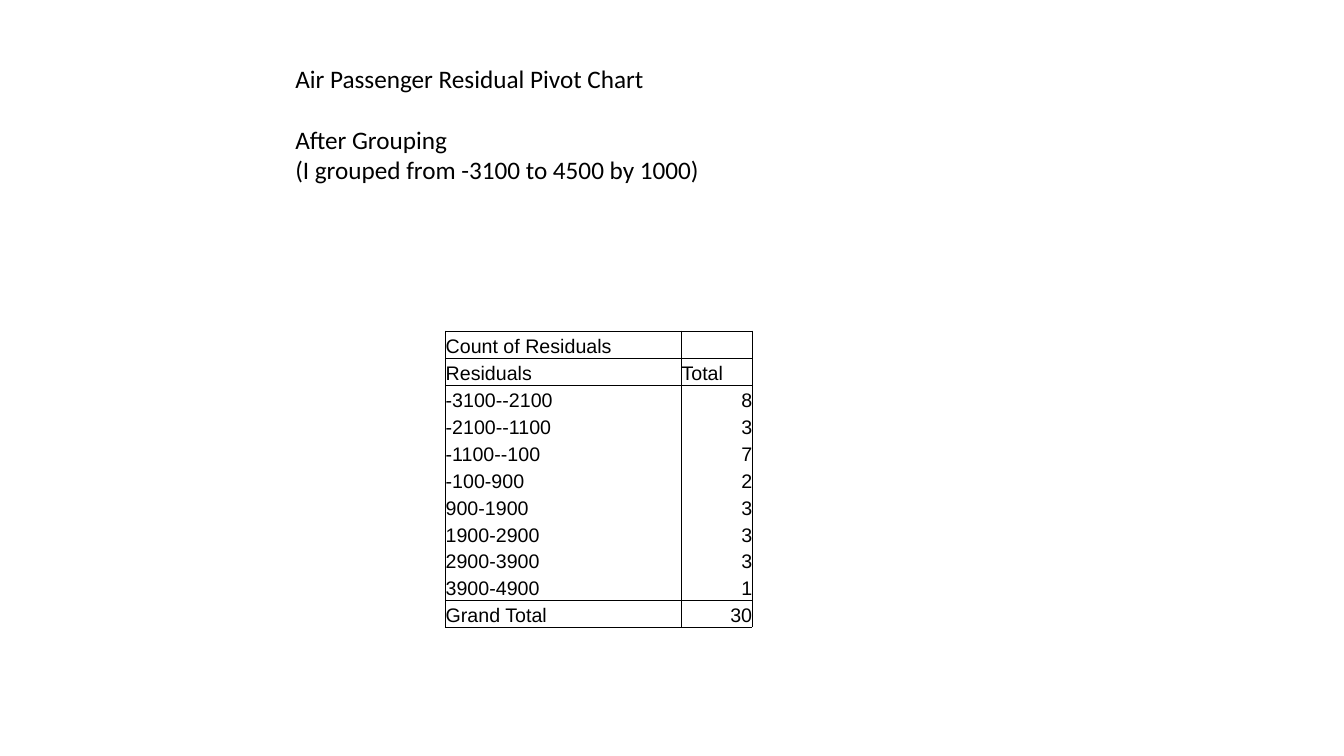
from lxml import etree
from pptx import Presentation
from pptx.dml.color import RGBColor
from pptx.enum.text import MSO_ANCHOR, PP_ALIGN
from pptx.oxml.ns import qn
from pptx.util import Inches, Pt

BLACK = RGBColor(0, 0, 0)
WHITE = RGBColor(255, 255, 255)
LEFT = PP_ALIGN.LEFT
RIGHT = PP_ALIGN.RIGHT
BOTTOM = MSO_ANCHOR.BOTTOM

COLUMN_WIDTHS = (2.34, 0.7)
TABLE_HEIGHT = 3.74
EMPTY_ROW = ("", "")
HEADER_ROWS = [("Count of Residuals", ""), ("Residuals", "Total")]
GROUP_ROWS = [
    ("-3100--2100", "8"),
    ("-2100--1100", "3"),
    ("-1100--100", "7"),
    ("-100-900", "2"),
    ("900-1900", "3"),
    ("1900-2900", "3"),
    ("2900-3900", "3"),
    ("3900-4900", "1"),
]
TOTAL_ROW = ("Grand Total", "30")
ROWS = [EMPTY_ROW] * 2 + HEADER_ROWS + GROUP_ROWS + [TOTAL_ROW, EMPTY_ROW]
FIRST_HEADER = 2
FIRST_GROUP = FIRST_HEADER + len(HEADER_ROWS)
TOTAL = FIRST_GROUP + len(GROUP_ROWS)
RULED_EDGES = {FIRST_HEADER, FIRST_HEADER + 1, FIRST_GROUP, TOTAL, TOTAL + 1}


def write_text(paragraph, text, font="Calibri", size=18, color=BLACK,
               align=LEFT, space_before=0):
    paragraph.alignment = align
    if space_before:
        paragraph.space_before = Pt(space_before)
    if not text:
        end = etree.SubElement(paragraph._p, qn("a:endParaRPr"))
        end.set("sz", str(size * 100))
        return
    run = paragraph.add_run()
    run.text = text
    run.font.name = font
    run.font.size = Pt(size)
    run.font.color.rgb = color


def set_borders(cell, visible):
    properties = cell._tc.get_or_add_tcPr()
    for position, side in enumerate("LRTB"):
        line = etree.Element(qn(f"a:ln{side}"), w=str(Pt(0.5)))
        if side in visible:
            fill = etree.SubElement(line, qn("a:solidFill"))
            etree.SubElement(fill, qn("a:srgbClr"), val=str(BLACK))
        else:
            etree.SubElement(line, qn("a:noFill"))
        properties.insert(position, line)


def visible_sides(row):
    sides = "LR" if FIRST_HEADER <= row <= TOTAL else ""
    if row in RULED_EDGES:
        sides += "T"
    if row + 1 in RULED_EDGES:
        sides += "B"
    return sides


def add_residual_table(slide):
    frame = slide.shapes.add_table(
        len(ROWS), len(COLUMN_WIDTHS), Inches(4.42), Inches(2.75),
        Inches(sum(COLUMN_WIDTHS)), Inches(TABLE_HEIGHT))
    table = frame.table
    table.first_row = False
    table.horz_banding = False
    for column, width in zip(table.columns, COLUMN_WIDTHS):
        column.width = Inches(width)
    for row, texts in enumerate(ROWS):
        table.rows[row].height = Inches(TABLE_HEIGHT / len(ROWS))
        for column, text in enumerate(texts):
            cell = table.cell(row, column)
            cell.margin_left = cell.margin_right = 0
            cell.margin_top = cell.margin_bottom = 0
            cell.vertical_anchor = BOTTOM
            cell.fill.background()
            set_borders(cell, visible_sides(row))
            align = RIGHT if text.isdigit() else LEFT
            write_text(cell.text_frame.paragraphs[0], text,
                       font="Arial", size=14, align=align)


def add_heading(slide):
    box = slide.shapes.add_textbox(
        Inches(2.83), Inches(0.58), Inches(7.08), Inches(1.31))
    frame = box.text_frame
    frame.word_wrap = True
    write_text(frame.paragraphs[0], "Air Passenger Residual Pivot Chart")
    write_text(frame.add_paragraph(), "After Grouping", space_before=22)
    write_text(frame.add_paragraph(), "(I grouped from -3100 to 4500 by 1000)")


def main():
    presentation = Presentation()
    presentation.slide_width = Inches(13.33)
    presentation.slide_height = Inches(7.5)
    slide = presentation.slides.add_slide(presentation.slide_layouts[6])
    slide.background.fill.solid()
    slide.background.fill.fore_color.rgb = WHITE
    add_residual_table(slide)
    add_heading(slide)
    presentation.save("out.pptx")


if __name__ == "__main__":
    main()
